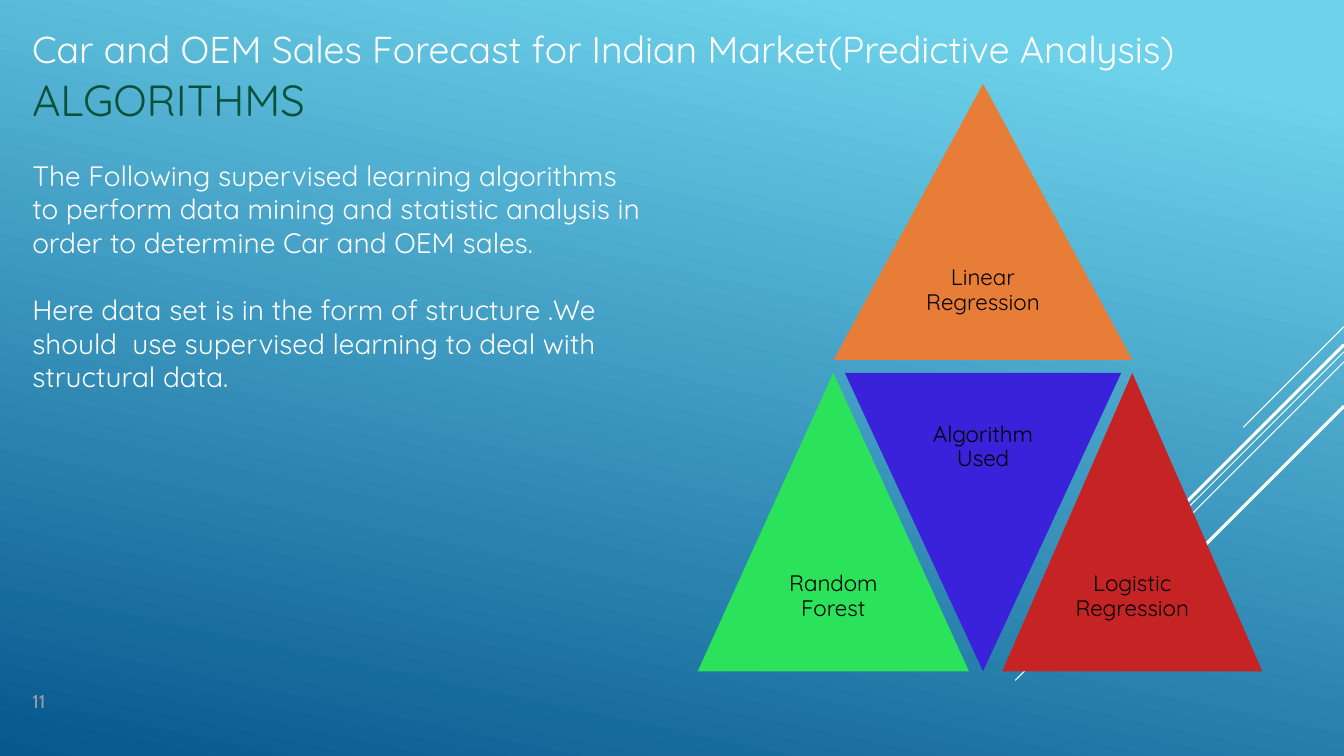
from dataclasses import dataclass

from lxml import etree
from pptx import Presentation
from pptx.dml.color import RGBColor
from pptx.enum import shapes, text
from pptx.oxml import ns
from pptx.util import Inches, Pt


@dataclass(frozen=True)
class Theme:
    font: str = "Quicksand"
    number_font: str = "Cabin"
    sky: str = "6ED2EB"
    deep: str = "06588E"
    white: str = "FFFFFF"
    black: str = "000000"
    green: str = "0A5139"
    grey: str = "999FA6"
    heading_size: float = 26.7
    title_size: float = 31.1
    body_size: float = 20
    label_size: float = 16
    number_size: float = 13.3


THEME = Theme()


def format_frame(frame, size, color, font=THEME.font, spacing=1.0, inset=0.0,
                 align=text.PP_ALIGN.LEFT, anchor=text.MSO_ANCHOR.TOP, wrap=True):
    """Apply margins, alignment and type to every paragraph of a text frame."""
    frame.auto_size = text.MSO_AUTO_SIZE.NONE
    frame.word_wrap = wrap
    frame.vertical_anchor = anchor
    frame.margin_left = frame.margin_right = Inches(inset)
    frame.margin_top = frame.margin_bottom = Inches(inset)
    for paragraph in frame.paragraphs:
        paragraph.alignment = align
        paragraph.line_spacing = spacing
        paragraph.space_before = Pt(0)
        for run in paragraph.runs:
            run.font.name = font
            run.font.size = Pt(size)
            run.font.color.rgb = RGBColor.from_string(color)


def place(shape, left, top, width, height):
    shape.left, shape.top = Inches(left), Inches(top)
    shape.width, shape.height = Inches(width), Inches(height)


prs = Presentation()
prs.slide_width, prs.slide_height = Inches(13.33), Inches(7.5)
slide = prs.slides.add_slide(prs.slide_layouts[1])

# Background
backdrop = slide.background.fill
backdrop.gradient()
backdrop.gradient_angle = 360 - 102
for stop, position, color in zip(backdrop.gradient_stops, (0.1, 1), (THEME.sky, THEME.deep)):
    stop.position = position
    stop.color.rgb = RGBColor.from_string(color)

# Diagonal streaks: start height on the right edge, run at 45 degrees, weight
for top, reach, weight in [(3.24, 1.0, 0.75), (3.49, 3.26, 0.75), (3.59, 2.07, 0.75),
                           (3.42, 1.91, 2.25), (4.03, 1.39, 2.25)]:
    streak = slide.shapes.add_connector(
        shapes.MSO_CONNECTOR.STRAIGHT, Inches(13.33), Inches(top),
        Inches(13.33 - reach), Inches(top + reach))
    streak.line.color.rgb = RGBColor.from_string(THEME.white)
    streak.line.width = Pt(weight)
    etree.SubElement(streak._element.spPr, ns.qn("a:effectLst"))

# Heading, title and page number
heading = slide.shapes.add_textbox(Inches(0.32), Inches(0.31), Inches(12.7), Inches(0.47))
heading.text_frame.text = "Car and OEM Sales Forecast for Indian Market(Predictive Analysis)"
format_frame(heading.text_frame, THEME.heading_size, THEME.white, spacing=0.89)

title = slide.shapes.title
place(title, 0.32, 0.79, 12.7, 0.79)
title.text_frame.text = "ALGORITHMS"
format_frame(title.text_frame, THEME.title_size, THEME.green, spacing=0.89)

page_number = slide.shapes.add_textbox(Inches(0.32), Inches(6.84), Inches(0.35), Inches(0.5))
page_number.text_frame.text = "11"
format_frame(page_number.text_frame, THEME.number_size, THEME.grey,
             font=THEME.number_font, wrap=False)

# Explanation
explanation = slide.placeholders[1]
place(explanation, 0.32, 1.57, 6.1, 5.11)
explanation.text_frame.text = (
    "The Following supervised learning algorithms to perform data mining and statistic "
    "analysis in order to determine Car and OEM sales.\n"
    "Here data set is in the form of structure .We should  use supervised learning to deal "
    "with structural data.")
format_frame(explanation.text_frame, THEME.body_size, THEME.white)
for paragraph in explanation.text_frame.paragraphs:
    properties = paragraph._p.get_or_add_pPr()
    properties.set("marL", "0")
    properties.set("indent", "0")
    etree.SubElement(properties, ns.qn("a:buNone"))
explanation.text_frame.paragraphs[1].space_before = Pt(24)

# Pyramid of algorithms
UP = shapes.MSO_SHAPE.ISOSCELES_TRIANGLE
DOWN = shapes.MSO_SHAPE.FLOWCHART_MERGE
for label, kind, left, top, width, height, color in [
    ("Linear Regression", UP, 8.27, 0.83, 2.96, 2.74, "E87D37"),
    ("Random Forest", UP, 6.92, 3.7, 2.69, 2.96, "2BE25B"),
    ("Algorithm Used", DOWN, 8.38, 3.7, 2.74, 2.96, "3922D9"),
    ("Logistic Regression", UP, 9.94, 3.7, 2.58, 2.96, "C62324"),
]:
    triangle = slide.shapes.add_shape(
        kind, Inches(left), Inches(top), Inches(width), Inches(height))
    triangle.shadow.inherit = False
    triangle.fill.solid()
    triangle.fill.fore_color.rgb = RGBColor.from_string(color)
    triangle.line.fill.background()
    triangle.text_frame.text = label
    format_frame(triangle.text_frame, THEME.label_size, THEME.black, spacing=0.9, inset=0.07,
                 align=text.PP_ALIGN.CENTER, anchor=text.MSO_ANCHOR.MIDDLE)

prs.save("out.pptx")
